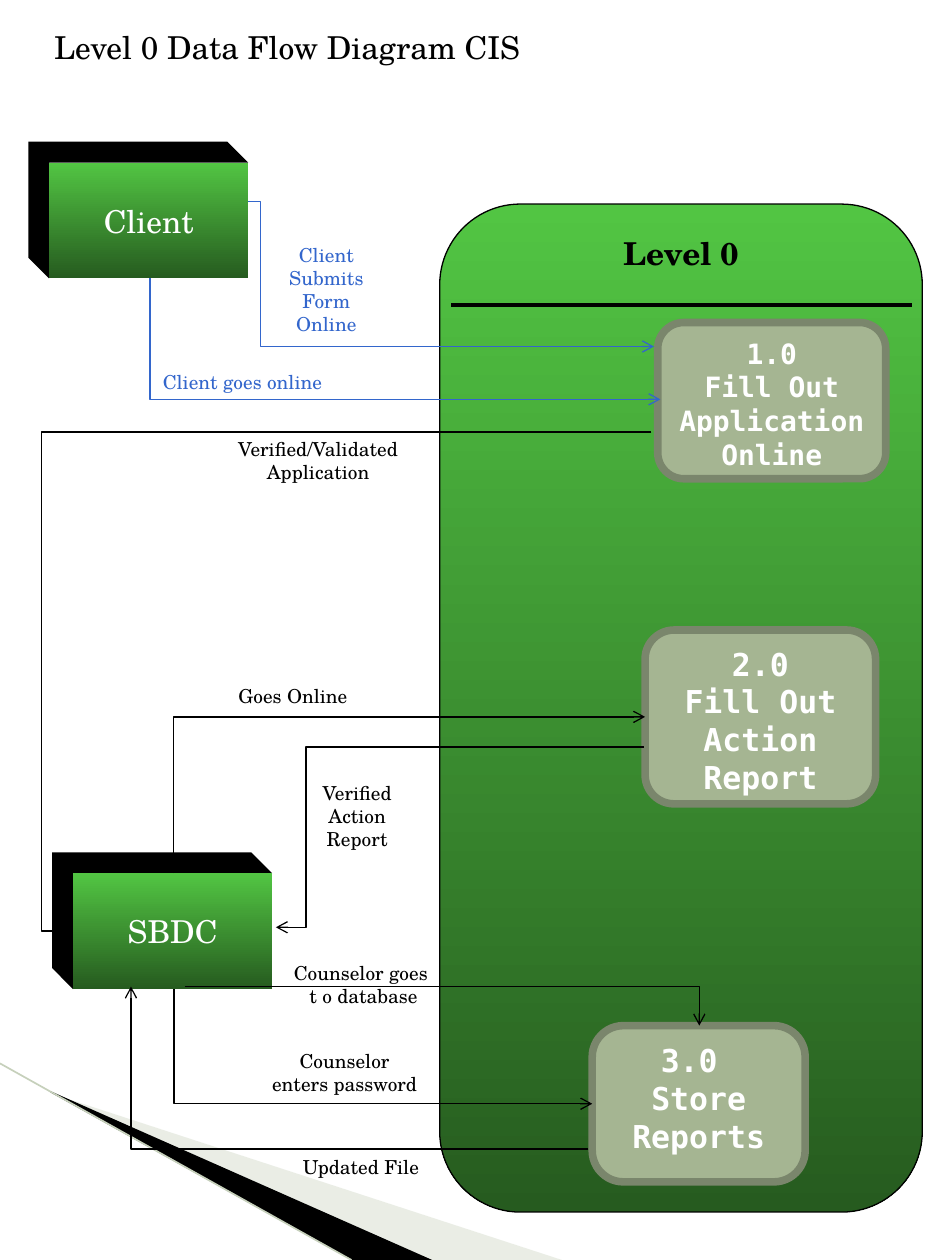
from lxml.etree import SubElement as Sub
from pptx import Presentation
from pptx.dml.color import RGBColor as Rgb
from pptx.enum.shapes import MSO_CONNECTOR as Link, MSO_SHAPE as Form
from pptx.enum.text import MSO_ANCHOR as Anchor, MSO_AUTO_SIZE as Fit, PP_ALIGN as Align
from pptx.oxml.ns import qn
from pptx.util import Inches, Pt

WIDTH, HEIGHT = Inches(7.5), Inches(10)
COLS, ROWS = 75, 100
DEPTH = 1.65
SERIF, MONO = "TeX Gyre Schola", "DejaVu Sans Mono"

BLACK = Rgb(0, 0, 0)
WHITE = Rgb(255, 255, 255)
BLUE = Rgb(0x33, 0x66, 0xCC)
LIGHT = Rgb(0x52, 0xC5, 0x43)
DARK = Rgb(0x26, 0x5B, 0x1F)
SAGE = Rgb(0xA5, 0xB5, 0x92)
MOSS = Rgb(0x7A, 0x86, 0x6C)
MIST = Rgb(0xCB, 0xD4, 0xC0)
EDGE = Rgb(0xC6, 0xD0, 0xBB)


def col(num):
    return round(num * WIDTH / COLS)


def row(num):
    return round(num * HEIGHT / ROWS)


def area(x, y, wide, high):
    return col(x), row(y), col(wide), row(high)


def write(shape, text, size=11, font=SERIF, color=BLACK, bold=False,
          align=Align.CENTER, anchor=Anchor.TOP, wrap=True, fit=Fit.NONE):
    frame = shape.text_frame
    frame.word_wrap = wrap
    frame.auto_size = fit
    frame.vertical_anchor = anchor
    frame.text = text
    for para in frame.paragraphs:
        para.alignment = align
        face = para.font
        face.name, face.size, face.bold = font, Pt(size), bold
        face.color.rgb = color


def shade(shape):
    fill = shape.fill
    fill.gradient()
    fill.gradient_angle = 270
    for stop, color in zip(fill.gradient_stops, (LIGHT, DARK)):
        stop.color.rgb = color


def facet(shapes, points, color, alpha=None):
    spots = [(col(x), row(y)) for x, y in points]
    pen = shapes.build_freeform(*spots[0], scale=1.0)
    pen.add_line_segments(spots[1:])
    shape = pen.convert_to_shape()
    shape.shadow.inherit = False
    shape.line.fill.background()
    shape.fill.solid()
    shape.fill.fore_color.rgb = color
    if alpha:
        tone = shape.fill._xPr.find(".//" + qn("a:srgbClr"))
        Sub(tone, qn("a:alpha")).set("val", str(alpha * 1000))


def join(shapes, start, end, color=BLACK, weight=0.75, kind=Link.STRAIGHT):
    line = shapes.add_connector(kind, col(start[0]), row(start[1]),
                                col(end[0]), row(end[1]))
    line.line.color.rgb = color
    line.line.width = Pt(weight)
    Sub(line._element.spPr, qn("a:effectLst"))
    return line


def route(shapes, start, end, turn=None, drop=False, color=BLACK):
    line = join(shapes, start, end, color, kind=Link.ELBOW)
    Sub(line.line._get_or_add_ln(), qn("a:tailEnd")).set("type", "arrow")
    props = line._element.spPr
    geom = props.find(qn("a:prstGeom"))
    if turn is not None:
        share = (turn - start[0]) / (end[0] - start[0])
        guide = Sub(geom.find(qn("a:avLst")), qn("a:gd"))
        guide.set("name", "adj1")
        guide.set("fmla", f"val {round(share * 100000)}")
        return
    geom.set("prst", "bentConnector2")
    if drop:
        wide, high = line.width, line.height
        line.left += (wide - high) // 2
        line.top += (high - wide) // 2
        line.width, line.height = high, wide
        rise = end[1] < start[1]
        frame = props.find(qn("a:xfrm"))
        frame.set("rot", "5400000" if rise else "16200000")
        frame.set("flipH", "1")
        frame.set("flipV", "1" if rise else "0")


def block(shapes, text, x, y):
    wide, high = 15.8, 9.2
    right, base = x + wide, y + high
    facet(shapes, [(x, base), (x - DEPTH, base - DEPTH), (x - DEPTH, y - DEPTH),
                   (right - DEPTH, y - DEPTH), (right, y), (x, y)], BLACK)
    shape = shapes.add_shape(Form.RECTANGLE, *area(x, y, wide, high))
    shape.shadow.inherit = False
    shape.line.fill.background()
    shade(shape)
    write(shape, text, size=18, color=WHITE, anchor=Anchor.MIDDLE, wrap=False)


def step(shapes, text, place, size=18, bend=0.167):
    shape = shapes.add_shape(Form.ROUNDED_RECTANGLE, *area(*place))
    shape.shadow.inherit = False
    shape.adjustments[0] = bend
    shape.fill.solid()
    shape.fill.fore_color.rgb = SAGE
    shape.line.color.rgb = MOSS
    shape.line.width = Pt(4.33)
    write(shape, text, size=size, font=MONO, color=WHITE, bold=True)


def panel(shapes):
    group = shapes.add_group_shape().shapes
    shape = group.add_shape(Form.ROUNDED_RECTANGLE, *area(34.9, 16.2, 38.3, 80))
    shape.shadow.inherit = False
    shape.adjustments[0] = 0.167
    shade(shape)
    shape.line.color.rgb = BLACK
    shape.line.width = Pt(0.75)
    write(shape, "Level 0", size=18, bold=True, wrap=False)
    join(group, (35.8, 24.2), (72.4, 24.2), weight=2)


def label(shapes, text, place, color=BLACK):
    box = shapes.add_textbox(*area(*place))
    write(box, text, color=color, fit=Fit.SHAPE_TO_FIT_TEXT)


def main():
    deck = Presentation()
    deck.slide_width, deck.slide_height = WIDTH, HEIGHT
    shapes = deck.slides.add_slide(deck.slide_layouts[5]).shapes

    facet(shapes, [(4.1, 86.8), (44.6, 100), (34.2, 100), (4.1, 86.7)], MIST, 40)
    facet(shapes, [(4, 86.6), (34.3, 100), (27.9, 100), (4, 86.7)], BLACK)
    join(shapes, (0, 84.4), (27.9, 100), EDGE, 0.95)

    title = shapes.title
    title.left, title.top, title.width, title.height = area(3.3, 1.7, 58.3, 4)
    write(title, "Level 0 Data Flow Diagram CIS", size=18, align=Align.LEFT)

    panel(shapes)
    route(shapes, (51.7, 34.3), (5.8, 73.9), turn=3.3)
    block(shapes, "Client", 3.9, 12.9)
    block(shapes, "SBDC", 5.8, 69.3)
    step(shapes, "1.0\nFill Out Application Online", (52.2, 25.6, 18.1, 12.4), size=16)
    step(shapes, "2.0\nFill Out Action Report", (51.2, 50, 18.3, 13.8))
    step(shapes, "3.0 \nStore Reports", (47, 81.4, 16.9, 12.4), bend=0.2)

    route(shapes, (11.9, 22.1), (52.4, 31.7), drop=True, color=BLUE)
    route(shapes, (19.7, 16), (51.9, 27.5), turn=20.7, color=BLUE)
    route(shapes, (13.8, 69.3), (51.2, 56.9), drop=True)
    route(shapes, (51.1, 59.3), (21.9, 73.6), turn=24.3)
    route(shapes, (14.7, 78.3), (55.5, 81.4))
    route(shapes, (13.8, 78.5), (47, 87.6), drop=True)
    route(shapes, (46.7, 91.2), (10.4, 78.3))

    label(shapes, "Client goes online", (11.8, 28.9, 14.9, 2.9), BLUE)
    label(shapes, "Client Submits Form\nOnline", (21.5, 18.8, 8.8, 8.4), BLUE)
    label(shapes, "Verified/Validated\nApplication", (16.2, 34.2, 18.1, 4.7))
    label(shapes, "Goes Online", (14.2, 53.8, 18.1, 2.9))
    label(shapes, "Verified\nAction\nReport", (23.3, 61.5, 10.1, 6.6))
    label(shapes, "Counselor goes \nt o database", (21.9, 75.8, 13.9, 4.7))
    label(shapes, "Counselor enters password", (20.4, 82.8, 13.9, 4.7))
    label(shapes, "Updated File", (21.7, 91.2, 13.9, 2.9))

    deck.save("out.pptx")


if __name__ == "__main__":
    main()
